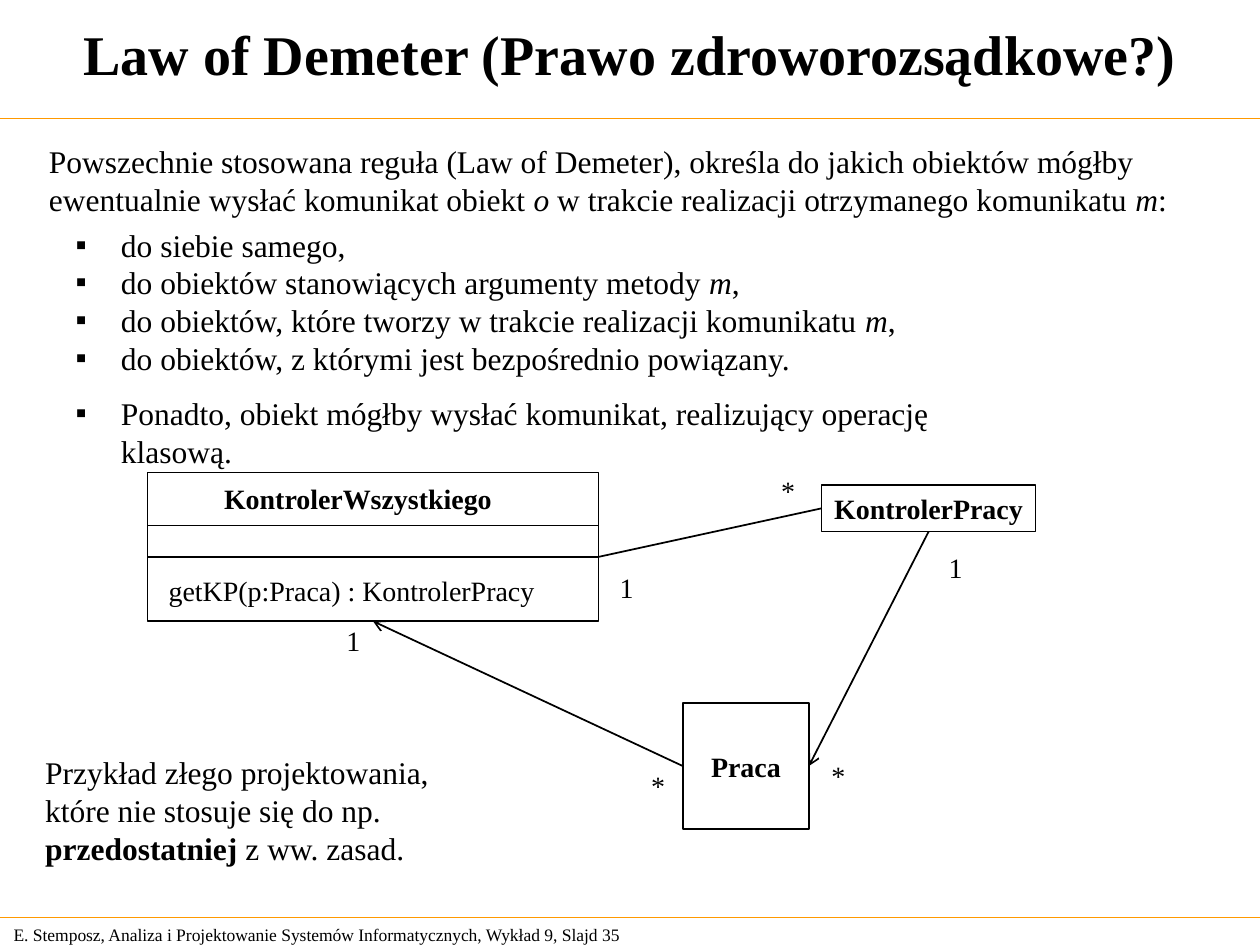
from lxml import etree
from pptx import Presentation
from pptx import util as u
from pptx.dml.color import RGBColor
from pptx.enum import shapes, text
from pptx.oxml.ns import qn

INK = {"text": "000000", "rule": "FF9900"}
FACE = "Times New Roman"
LEFT, MID = text.PP_ALIGN.LEFT, text.PP_ALIGN.CENTER
TOP, HALF = text.MSO_ANCHOR.TOP, text.MSO_ANCHOR.MIDDLE


def write(shape, paras, size, bold=False, align=LEFT, anchor=TOP, wrap=True):
    """Fill a shape; each paragraph is a list of (words, style) runs."""
    frame = shape.text_frame
    form = {"word_wrap": wrap, "vertical_anchor": anchor,
            "auto_size": text.MSO_AUTO_SIZE.NONE}
    for key, val in form.items():
        setattr(frame, key, val)
    for i, runs in enumerate(paras):
        para = frame.paragraphs[0] if i == 0 else frame.add_paragraph()
        para.alignment = align
        para.space_before = u.Pt(0)
        for words, style in runs:
            run = para.add_run()
            run.text = words
            look = {"name": FACE, "size": u.Pt(size), "bold": bold,
                    "italic": False, **style}
            for key, val in look.items():
                setattr(run.font, key, val)
            run.font.color.rgb = RGBColor.from_string(INK["text"])
    return frame


def draw(home, start, end, color="text", width=1):
    """Add a straight line without a shadow."""
    points = [u.Inches(n) for n in (*start, *end)]
    line = home.add_connector(shapes.MSO_CONNECTOR.STRAIGHT, *points)
    line.line.color.rgb = RGBColor.from_string(INK[color])
    line.line.width = u.Pt(width)
    etree.SubElement(line._element.spPr, qn("a:effectLst"))
    return line


deck = Presentation()
deck.slide_width, deck.slide_height = u.Inches(10), u.Inches(7.5)
slide = deck.slides.add_slide(deck.slide_layouts[1])
items = slide.shapes
title, body = slide.placeholders
ital, bold = {"italic": True}, {"bold": True}

# Title and list places
for shape, box in ((title, (0, 0, 10, 0.85)), (body, (0.5, 1.74, 7.8, 1.94))):
    for key, val in zip(("left", "top", "width", "height"), box):
        setattr(shape, key, u.Inches(val))
write(title, [[("Law of Demeter (Prawo zdroworozsądkowe?)", {})]],
      32, True, MID, HALF)

# Rules above and below the content
for y in (0.94, 7.28):
    draw(items, (0, y), (10, y), "rule", 0.75)

# Bulleted list
rules = [
    [("do siebie samego,", {})],
    [("do obiektów stanowiących argumenty metody ", {}), ("m", ital), (",", {})],
    [("do obiektów, które tworzy w trakcie realizacji komunikatu ", {}),
     ("m", ital), (",", {})],
    [("do obiektów, z którymi jest bezpośrednio powiązany.", {})],
    [("Ponadto, obiekt mógłby wysłać komunikat, realizujący operację klasową.",
      {})],
]
frame = write(body, rules, 18)
frame.paragraphs[-1].space_before = u.Pt(10)
for para in frame.paragraphs:
    props = para._p.get_or_add_pPr()
    props.set("marL", str(u.Inches(0.36)))
    props.set("indent", str(-u.Inches(0.36)))
    etree.SubElement(props, qn("a:buFont")).set("typeface", FACE)
    etree.SubElement(props, qn("a:buChar")).set("char", "▪")

# Running text: place, runs, size, anchor
notes = [
    ((0.29, 1.08, 9.42, 0.7), [
        ("Powszechnie stosowana reguła (Law of Demeter), określa do jakich "
         "obiektów mógłby ewentualnie wysłać komunikat obiekt ", {}),
        ("o", ital), (" w trakcie realizacji otrzymanego komunikatu ", {}),
        ("m", ital), (":", {})], 18, TOP),
    ((0.26, 5.93, 3.41, 1), [
        ("Przykład złego projektowania, które nie stosuje się do np. ", {}),
        ("przedostatniej", bold), (" z ww. zasad.", {})], 18, TOP),
    ((0.01, 7.28, 5.24, 0.27), [
        ("E. Stemposz, Analiza i Projektowanie Systemów Informatycznych, "
         "Wykład 9, Slajd 35", {})], 10, HALF),
]
for box, runs, size, anchor in notes:
    note = items.add_textbox(*[u.Inches(n) for n in box])
    write(note, [runs], size, anchor=anchor)

# Class boxes; the main class is a group with three compartments
group = items.add_group_shape().shapes
cards = []
for home, box, name in (
        (group, (1.17, 3.75, 3.58, 1.18), ""),
        (items, (6.52, 3.85, 1.7, 0.37), "KontrolerPracy"),
        (items, (5.42, 5.58, 1, 1), "Praca")):
    card = home.add_shape(shapes.MSO_SHAPE.RECTANGLE,
                          *[u.Inches(n) for n in box])
    card.shadow.inherit = False
    card.fill.background()
    card.line.color.rgb = RGBColor.from_string(INK["text"])
    card.line.width = u.Pt(1)
    if name:
        write(card, [[(name, {})]], 16, True, MID, HALF, False)
    cards.append(card)
main, ctrl, job = cards

for y in (4.17, 4.42):
    draw(group, (1.17, y), (4.75, y))
for box, name, style in (
        ((1.68, 3.77, 2.33, 0.37), "KontrolerWszystkiego", bold),
        ((1.24, 4.5, 3.1, 0.37), "getKP(p:Praca) : KontrolerPracy", {})):
    part = group.add_textbox(*[u.Inches(n) for n in box])
    write(part, [[(name, style)]], 16, wrap=False)

# Associations
link = draw(items, (4.75, 4.42), (6.52, 4.04))
link.end_connect(ctrl, 1)
for start, out, end, into, tip in ((main, 2, job, 1, "headEnd"),
                                   (ctrl, 2, job, 3, "tailEnd")):
    link = draw(items, (0, 0), (1, 1))
    link.begin_connect(start, out)
    link.end_connect(end, into)
    etree.SubElement(link.line._get_or_add_ln(), qn("a:" + tip)).set(
        "type", "arrow")

# Multiplicities
for x, y, sign in ((5.07, 6.05, "*"), (2.65, 4.9, "1"), (4.82, 4.48, "1"),
                   (6.1, 3.71, "*"), (7.43, 4.32, "1"), (6.5, 5.97, "*")):
    mark = items.add_textbox(*[u.Inches(n) for n in (x, y, 0.31, 0.37)])
    write(mark, [[(sign, {})]], 16, wrap=False)

deck.save("out.pptx")
